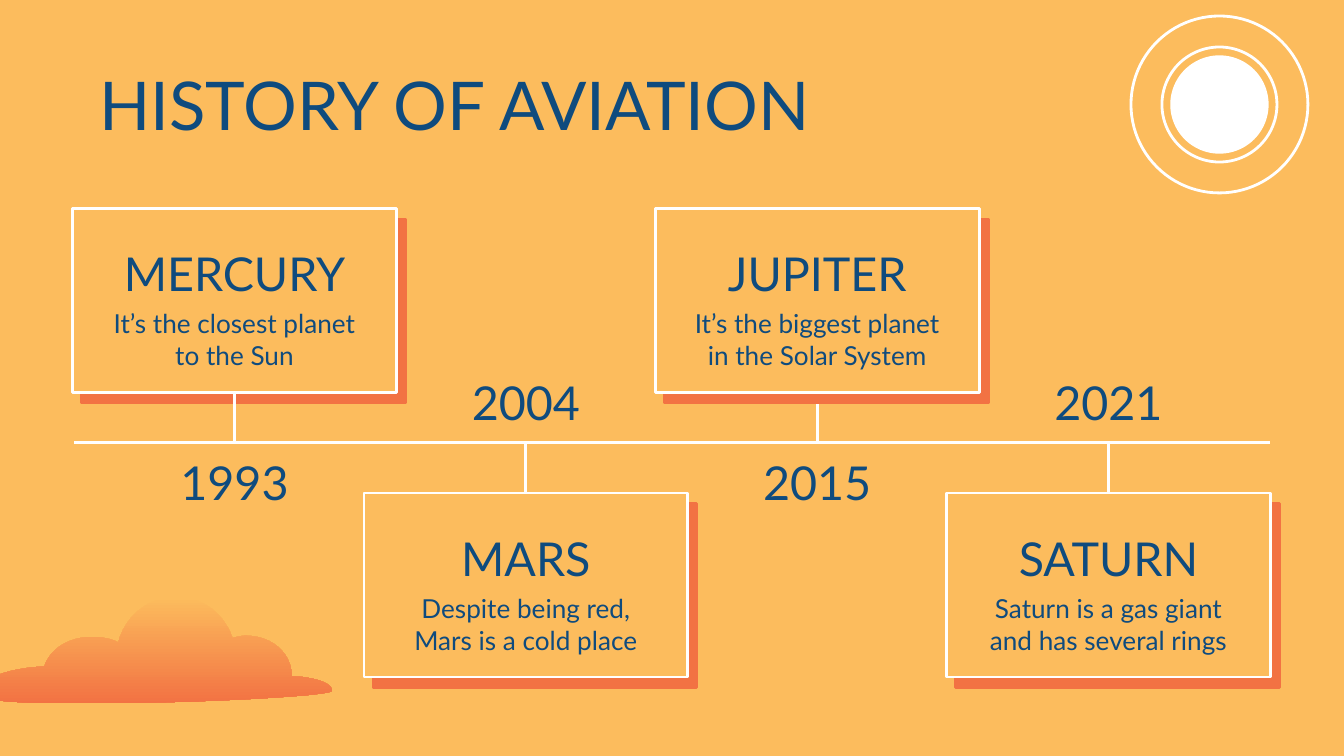
import pptx
import pptx.util
import pptx.dml.color
import pptx.enum.shapes
import pptx.enum.text
from lxml import etree

Pt = pptx.util.Pt
RGB = pptx.dml.color.RGBColor
SHAPE = pptx.enum.shapes.MSO_SHAPE
ALIGN = pptx.enum.text.PP_ALIGN
ANCHOR = pptx.enum.text.MSO_ANCHOR

SAND = RGB(0xFC, 0xBC, 0x5D)
CORAL = RGB(0xF2, 0x72, 0x43)
NAVY = RGB(0x0F, 0x4B, 0x7E)
WHITE = RGB(0xFF, 0xFF, 0xFF)
FONT = "Lato"
NS = "http://schemas.openxmlformats.org/drawingml/2006/main"
INSET = 7.2
LINE_WIDTH = 1.5

# Year, heading, body, whether the stem goes behind the card
EVENTS = [
    ("1993", "MERCURY", "It’s the closest planet to the Sun", False),
    ("2004", "MARS", "Despite being red, Mars is a cold place", False),
    ("2015", "JUPITER", "It’s the biggest planet in the Solar System", True),
    ("2021", "SATURN", "Saturn is a gas giant and has several rings", False),
]
CARD_W, CARD_H = 173.5, 98.6

# Cloud outline: start point, then Bézier curves (two controls and an end)
CLOUD_START = (106.6, 0)
CLOUD_CURVES = [
    ((91.4, 0), (79.2, 10.8), (75.6, 24.5)),
    ((71.3, 22.3), (66.2, 21.6), (61.2, 21.6)),
    ((49, 21.6), (38.9, 28.1), (36, 37.4)),
    ((15.8, 38.2), (0, 44.6), (0, 51.8)),
    ((0, 56.2), (25.9, 57.2), (58.3, 57.2)),
    ((114.5, 57.2), (190.1, 53.3), (190.1, 50.4)),
    ((190.1, 46.1), (180.7, 43.2), (168.5, 42.5)),
    ((168.5, 30.2), (157.7, 20.9), (144, 20.9)),
    ((141.8, 20.9), (138.2, 21.6), (136.8, 22.3)),
    ((132.5, 9.4), (121, 0), (106.6, 0)),
]


def set_text(sp, text, size, align):
    tf = sp.text_frame
    margins = {f"margin_{side}": Pt(INSET)
               for side in ("left", "top", "right", "bottom")}
    frame = {"word_wrap": True, "vertical_anchor": ANCHOR.MIDDLE, **margins}
    for name, value in frame.items():
        setattr(tf, name, value)
    p = tf.paragraphs[0]
    p.alignment = align
    r = p.add_run()
    r.text = text
    for name, value in {"name": FONT, "size": Pt(size), "bold": False}.items():
        setattr(r.font, name, value)
    r.font.color.rgb = NAVY


def add_label(s, x, y, w, h, text, size):
    sp = s.shapes.add_textbox(Pt(x), Pt(y), Pt(w), Pt(h))
    set_text(sp, text, size, ALIGN.CENTER)


def add_outlined(s, kind, x, y, w, h, fill=None):
    sp = s.shapes.add_shape(kind, Pt(x), Pt(y), Pt(w), Pt(h))
    sp.shadow.inherit = False
    if fill is None:
        sp.fill.background()
    else:
        sp.fill.solid()
        sp.fill.fore_color.rgb = fill
    sp.line.color.rgb = WHITE
    sp.line.width = Pt(LINE_WIDTH)
    return sp


def add_line(s, x1, y1, x2, y2):
    line = s.shapes.add_connector(
        pptx.enum.shapes.MSO_CONNECTOR.STRAIGHT, Pt(x1), Pt(y1), Pt(x2), Pt(y2))
    line.line.color.rgb = WHITE
    line.line.width = Pt(LINE_WIDTH)
    etree.SubElement(line._element.spPr, f"{{{NS}}}effectLst")


def add_hard_shadow(sp):
    effects = sp._element.spPr.find(f"{{{NS}}}effectLst")
    shadow = etree.SubElement(
        effects, f"{{{NS}}}outerShdw", blurRad="0", dist=str(Pt(7.5)),
        dir=str(50 * 60000), algn="bl", rotWithShape="0")
    etree.SubElement(shadow, f"{{{NS}}}srgbClr", val=str(CORAL))


def add_title(s, x, y, w, h, text):
    sp = s.shapes.title
    sp.left, sp.top, sp.width, sp.height = Pt(x), Pt(y), Pt(w), Pt(h)
    set_text(sp, text, 36, ALIGN.LEFT)


def add_sun(s, x, y, size):
    for diameter, fill in ((size, None), (0.65 * size, None), (0.54 * size, WHITE)):
        gap = (size - diameter) / 2
        add_outlined(s, SHAPE.OVAL, x + gap, y + gap, diameter, diameter, fill)


def add_cloud(s, x, y, steps=12):
    points, start = [], CLOUD_START
    for c1, c2, end in CLOUD_CURVES:
        for i in range(1, steps + 1):
            t = i / steps
            points.append(tuple(
                Pt((1 - t) ** 3 * a + 3 * t * (1 - t) ** 2 * b
                   + 3 * t * t * (1 - t) * c + t ** 3 * d)
                for a, b, c, d in zip(start, c1, c2, end)))
        start = end
    builder = s.shapes.build_freeform(*(Pt(v) for v in CLOUD_START))
    builder.add_line_segments(points)
    sp = builder.convert_to_shape(Pt(x), Pt(y))
    sp.shadow.inherit = False
    sp.line.fill.background()
    sp.fill.gradient()
    sp.fill.gradient_angle = 270
    for stop, color in zip(sp.fill.gradient_stops, (SAND, CORAL)):
        stop.color.rgb = color


def add_card(s, x, y, heading, body):
    add_hard_shadow(add_outlined(s, SHAPE.RECTANGLE, x, y, CARD_W, CARD_H, SAND))
    add_label(s, x + 8.7, y + 13.9, CARD_W - 17.4, 41.8, heading, 25)
    add_label(s, x + 8.7, y + 51.1, CARD_W - 17.4, 38, body, 14)


def add_timeline(s, x, y, w, h):
    axis = y + 125.4
    step = (w - CARD_W) / (len(EVENTS) - 1)
    add_line(s, x + 0.8, axis, x + w, axis)
    for i, (year, heading, body, stem_behind) in enumerate(EVENTS):
        left, above = x + i * step, i % 2 == 0
        top = y if above else y + h - CARD_H
        stem = (left + CARD_W / 2, top + CARD_H if above else top)
        if stem_behind:
            add_line(s, *stem, stem[0], axis)
        add_card(s, left, top, heading, body)
        if not stem_behind:
            add_line(s, *stem, stem[0], axis)
        add_label(s, left + 8.7, axis if above else axis - 42.4,
                  CARD_W - 17.4, 41.8, year, 25)


def main():
    prs = pptx.Presentation()
    prs.slide_width, prs.slide_height = Pt(720), Pt(405)
    s = prs.slides.add_slide(prs.slide_layouts[5])
    s.background.fill.solid()
    s.background.fill.fore_color.rgb = SAND

    add_sun(s, 605.9, 8.6, 94.8)
    add_cloud(s, -12.2, 319.7)
    add_timeline(s, 38.9, 111.6, 641.7, 251.2)
    add_title(s, 46.1, 26.6, 607, 58.3, "HISTORY OF AVIATION")
    prs.save("out.pptx")


if __name__ == "__main__":
    main()
